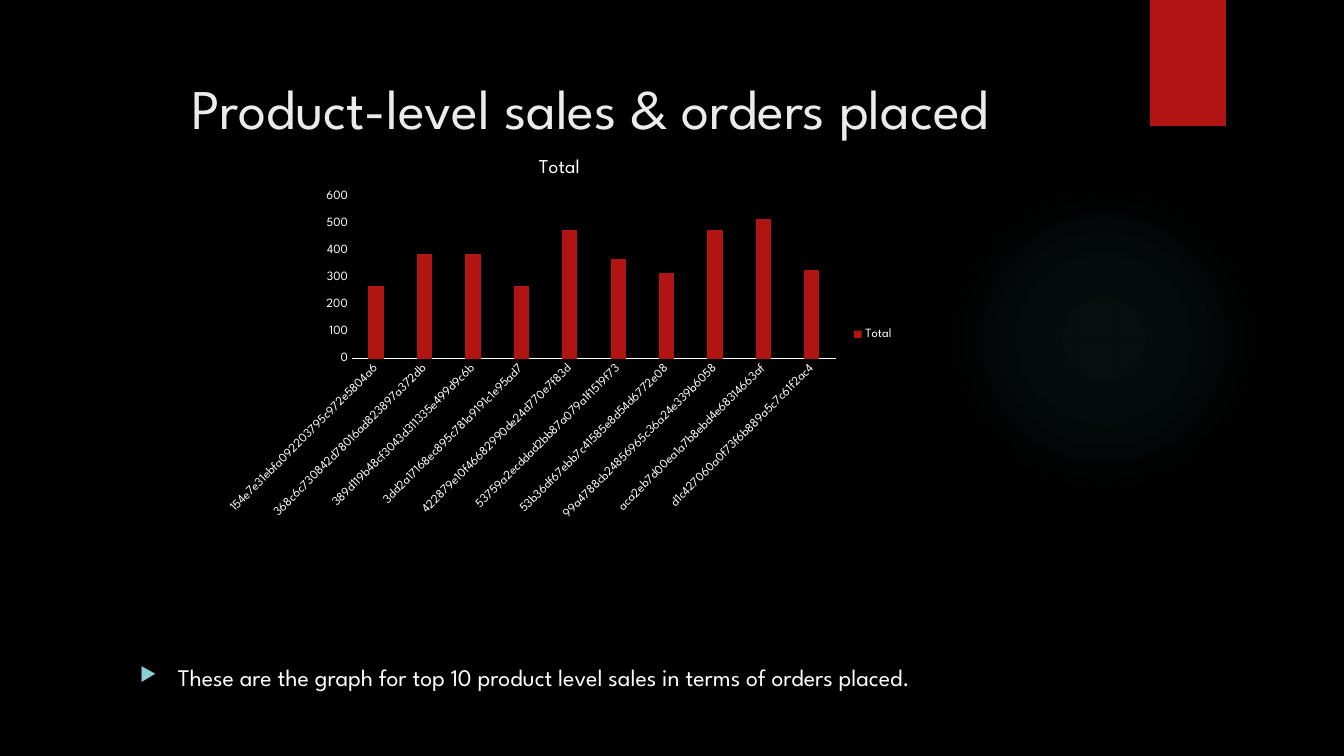
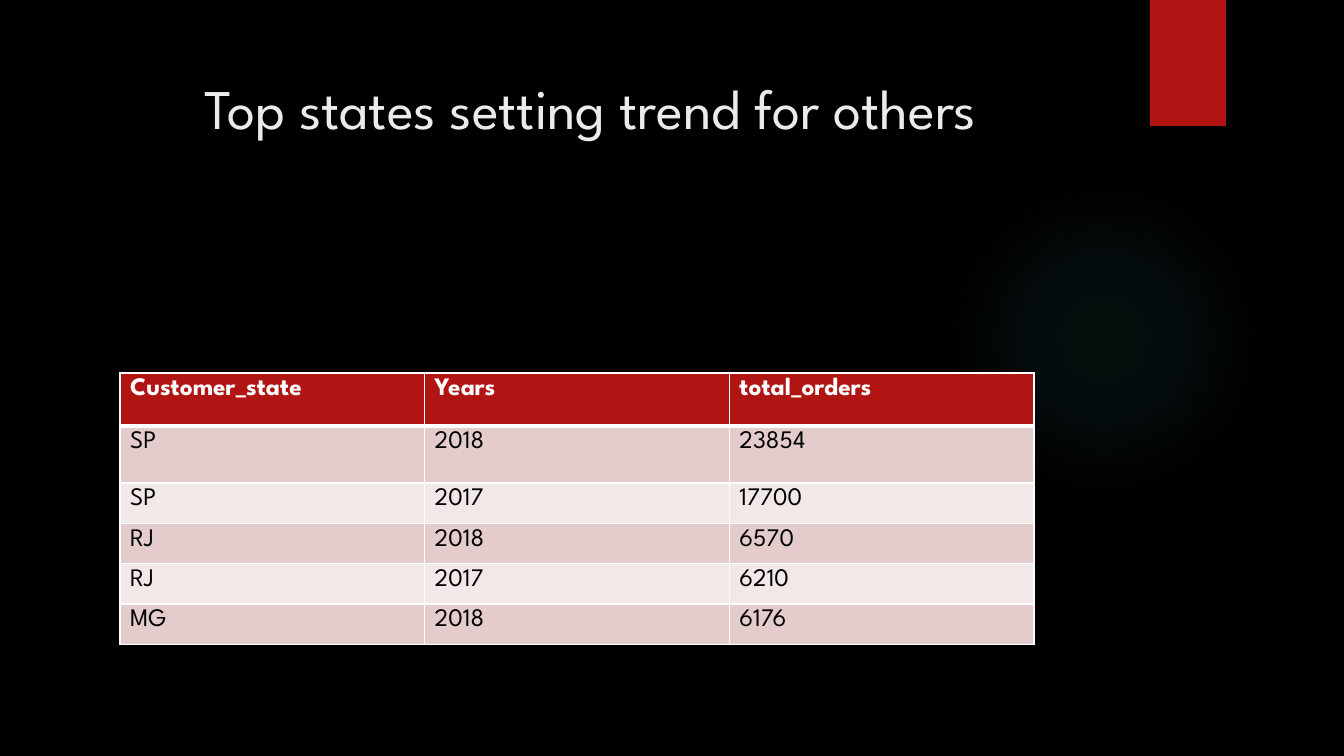
"""Build two dark slides on product sales and leading states."""
from dataclasses import dataclass
from typing import Any

from lxml import etree
from pptx import Presentation
from pptx.chart import data as chart_data
from pptx.dml.color import RGBColor
from pptx.enum import chart as charts, shapes, text
from pptx.oxml import ns, parse_xml
from pptx.util import Emu, Pt


@dataclass(frozen=True)
class Theme:
    """Colours and type sizes of the deck."""
    font: str = "League Spartan"
    background: str = "000000"
    accent: str = "B01513"
    glow: str = "50B9C1"
    bullet: str = "8AD0D6"
    heading: str = "EBEBEB"
    light: str = "FFFFFF"
    dark: str = "000000"
    bands: tuple[str, str] = ("E4CCCC", "F2E8E7")
    heading_size: int = 40
    body_size: int = 17
    table_size: int = 18
    chart_title_size: int = 14
    chart_size: int = 10
    label_size: int = 9


@dataclass(frozen=True)
class Frame:
    """A rectangle in px."""
    left: int
    top: int
    width: int
    height: int

    def emu(self) -> tuple[Emu, ...]:
        """Return the four lengths in EMU."""
        return tuple(map(px, (self.left, self.top, self.width, self.height)))


@dataclass(frozen=True)
class TextStyle:
    """The look and inset of one line of text."""
    size: int
    color: str
    inset_top: int
    align: Any


THEME = Theme()
PX_PER_INCH = 100.8
PAGE = Frame(0, 0, 1344, 756)
GLOW = Frame(949, 184, 310, 310)
RIBBON = Frame(1150, 0, 76, 126)
TITLE = Frame(72, 50, 1037, 154)
NOTE = Frame(130, 650, 978, 38)
CHART = Frame(215, 141, 689, 387)
TABLE = Frame(120, 373, 914, 242)
ROW_HEIGHTS = (53, 57, 33, 33, 33, 33)
BULLET_INDENT = 38
GLOW_STOPS = ((0, 7), (36, 6), (69, 0))
TITLE_STYLE = TextStyle(THEME.heading_size, THEME.heading, 23, text.PP_ALIGN.CENTER)
NOTE_STYLE = TextStyle(THEME.body_size, THEME.light, 13, text.PP_ALIGN.LEFT)

PRODUCT_ORDERS = {
    "154e7e31ebfa092203795c972e5804a6": 270,
    "368c6c730842d78016ad823897a372db": 390,
    "389d119b48cf3043d311335e499d9c6b": 390,
    "3dd2a17168ec895c781a9191c1e95ad7": 270,
    "422879e10f46682990de24d770e7f83d": 480,
    "53759a2ecddad2bb87a079a1f1519f73": 370,
    "53b36df67ebb7c41585e8d54d6772e08": 320,
    "99a4788cb24856965c36a24e339b6058": 480,
    "aca2eb7d00ea1a7b8ebd4e68314663af": 520,
    "d1c427060a0f73f6b889a5c7c61f2ac4": 330,
}
STATE_ORDERS = (
    ("Customer_state", "Years", "total_orders"),
    ("SP", "2018", "23854"),
    ("SP", "2017", "17700"),
    ("RJ", "2018", "6570"),
    ("RJ", "2017", "6210"),
    ("MG", "2018", "6176"),
)


def px(length: int) -> Emu:
    """Turn px into EMU."""
    return Emu(round(length * 914400 / PX_PER_INCH))


def set_values(target: Any, values: dict[str, Any]) -> None:
    """Set every named attribute on the target."""
    for name, value in values.items():
        setattr(target, name, value)


def style_font(font: Any, size: int, color: str, bold: bool = False) -> None:
    """Give a font the deck's face with a size and colour."""
    set_values(font, {"name": THEME.font, "size": Pt(size), "bold": bold})
    font.color.rgb = RGBColor.from_string(color)


def paint(fill: Any, color: str) -> None:
    """Fill with one colour."""
    fill.solid()
    fill.fore_color.rgb = RGBColor.from_string(color)


def add_plain_shape(page: Any, kind: Any, frame: Frame, color: str) -> Any:
    """Add a preset shape without line or shadow."""
    shape = page.shapes.add_shape(kind, *frame.emu())
    shape.shadow.inherit = False
    shape.line.fill.background()
    paint(shape.fill, color)
    return shape


def add_glow(page: Any) -> None:
    """Add the faint radial glow."""
    shape = add_plain_shape(page, shapes.MSO_SHAPE.OVAL, GLOW, THEME.glow)
    stops = "".join(
        f'<a:gs pos="{place * 1000}"><a:srgbClr val="{THEME.glow}">'
        f'<a:alpha val="{alpha * 1000}"/></a:srgbClr></a:gs>'
        for place, alpha in GLOW_STOPS
    )
    gradient = parse_xml(
        f'<a:gradFill {ns.nsdecls("a")} rotWithShape="1"><a:gsLst>{stops}</a:gsLst>'
        '<a:path path="circle"><a:fillToRect l="50000" t="50000" r="50000" b="50000"/>'
        "</a:path></a:gradFill>"
    )
    properties = shape.element.spPr
    properties.replace(properties.find(ns.qn("a:solidFill")), gradient)


def add_text(page: Any, frame: Frame, words: str, style: TextStyle) -> Any:
    """Add a wrapped text box and return its paragraph."""
    box = page.shapes.add_textbox(*frame.emu())
    set_values(box.text_frame, {
        "word_wrap": True,
        "vertical_anchor": text.MSO_ANCHOR.TOP,
        "margin_top": px(style.inset_top),
        "margin_bottom": 0,
    })
    para = box.text_frame.paragraphs[0]
    para.alignment = style.align
    span = para.add_run()
    span.text = words
    style_font(span.font, style.size, style.color)
    return para


def add_bullet(para: Any) -> None:
    """Give a paragraph a hanging triangle bullet."""
    properties = para._p.get_or_add_pPr()
    properties.set("marL", str(px(BULLET_INDENT)))
    properties.set("indent", str(-px(BULLET_INDENT)))
    color = etree.SubElement(properties, ns.qn("a:buClr"))
    etree.SubElement(color, ns.qn("a:srgbClr"), val=THEME.bullet)
    etree.SubElement(properties, ns.qn("a:buSzPct"), val="80000")
    etree.SubElement(properties, ns.qn("a:buChar"), char="▶")


def add_page(deck: Any, title: str) -> Any:
    """Add a page with the shared background, decoration and title."""
    page = deck.slides.add_slide(deck.slide_layouts[6])
    paint(page.background.fill, THEME.background)
    add_glow(page)
    add_plain_shape(page, shapes.MSO_SHAPE.RECTANGLE, RIBBON, THEME.accent)
    add_text(page, TITLE, title, TITLE_STYLE)
    return page


def add_order_chart(page: Any) -> None:
    """Add the column chart of orders per product."""
    data = chart_data.CategoryChartData()
    data.categories = list(PRODUCT_ORDERS)
    data.add_series("Total", list(PRODUCT_ORDERS.values()))
    kind = charts.XL_CHART_TYPE.COLUMN_CLUSTERED
    chart = page.shapes.add_chart(kind, *CHART.emu(), data).chart
    style_font(chart.font, THEME.chart_size, THEME.light)

    chart.has_title = True
    heading = chart.chart_title.text_frame
    heading.text = "Total"
    style_font(heading.paragraphs[0].runs[0].font, THEME.chart_title_size, THEME.light)
    chart.chart_title.include_in_layout = False

    chart.has_legend = True
    set_values(chart.legend, {
        "position": charts.XL_LEGEND_POSITION.RIGHT, "include_in_layout": False,
    })
    style_font(chart.legend.font, THEME.label_size, THEME.light)

    plot = chart.plots[0]
    set_values(plot, {"gap_width": 219, "overlap": -27, "vary_by_categories": False})
    paint(plot.series[0].format.fill, THEME.accent)

    for axis in (chart.category_axis, chart.value_axis):
        set_values(axis, {
            "has_major_gridlines": False,
            "major_tick_mark": charts.XL_TICK_MARK.NONE,
            "minor_tick_mark": charts.XL_TICK_MARK.NONE,
        })
        style_font(axis.tick_labels.font, THEME.label_size, THEME.light)
    set_values(chart.value_axis, {
        "minimum_scale": 0, "maximum_scale": 600, "major_unit": 100,
    })
    chart.value_axis.format.line.fill.background()
    baseline = chart.category_axis.format.line
    paint(baseline.fill, THEME.light)
    baseline.width = Pt(0.75)
    labels = chart.category_axis._element.get_or_add_txPr()
    labels.find(ns.qn("a:bodyPr")).set("rot", "-2700000")


def add_borders(cell: Any, widths: dict[str, int]) -> None:
    """Draw the cell's edges in the light colour."""
    properties = cell._tc.get_or_add_tcPr()
    for side, width in widths.items():
        edge = etree.SubElement(properties, ns.qn(f"a:ln{side}"), w=str(Pt(width)))
        fill = etree.SubElement(edge, ns.qn("a:solidFill"))
        etree.SubElement(fill, ns.qn("a:srgbClr"), val=THEME.light)


def add_state_table(page: Any) -> None:
    """Add the table of orders per state and year."""
    size = len(STATE_ORDERS), len(STATE_ORDERS[0])
    table = page.shapes.add_table(*size, *TABLE.emu()).table
    for row, height in zip(table.rows, ROW_HEIGHTS):
        row.height = px(height)
    for row_index, values in enumerate(STATE_ORDERS):
        header = row_index == 0
        fill = THEME.accent if header else THEME.bands[(row_index - 1) % 2]
        color = THEME.light if header else THEME.dark
        edges = {"L": 1, "R": 1, "T": 3 if row_index == 1 else 1, "B": 3 if header else 1}
        for column_index, value in enumerate(values):
            cell = table.cell(row_index, column_index)
            add_borders(cell, edges)
            paint(cell.fill, fill)
            cell.text = value
            span = cell.text_frame.paragraphs[0].runs[0]
            style_font(span.font, THEME.table_size, color, header)


def main() -> None:
    """Build and save the deck."""
    deck = Presentation()
    set_values(deck, {"slide_width": px(PAGE.width), "slide_height": px(PAGE.height)})

    sales = add_page(deck, "Product-level sales & orders placed")
    note = "These are the graph for top 10 product level sales in terms of orders placed."
    add_bullet(add_text(sales, NOTE, note, NOTE_STYLE))
    add_order_chart(sales)

    states = add_page(deck, "Top states setting trend for others")
    add_state_table(states)

    deck.save("out.pptx")


if __name__ == "__main__":
    main()
